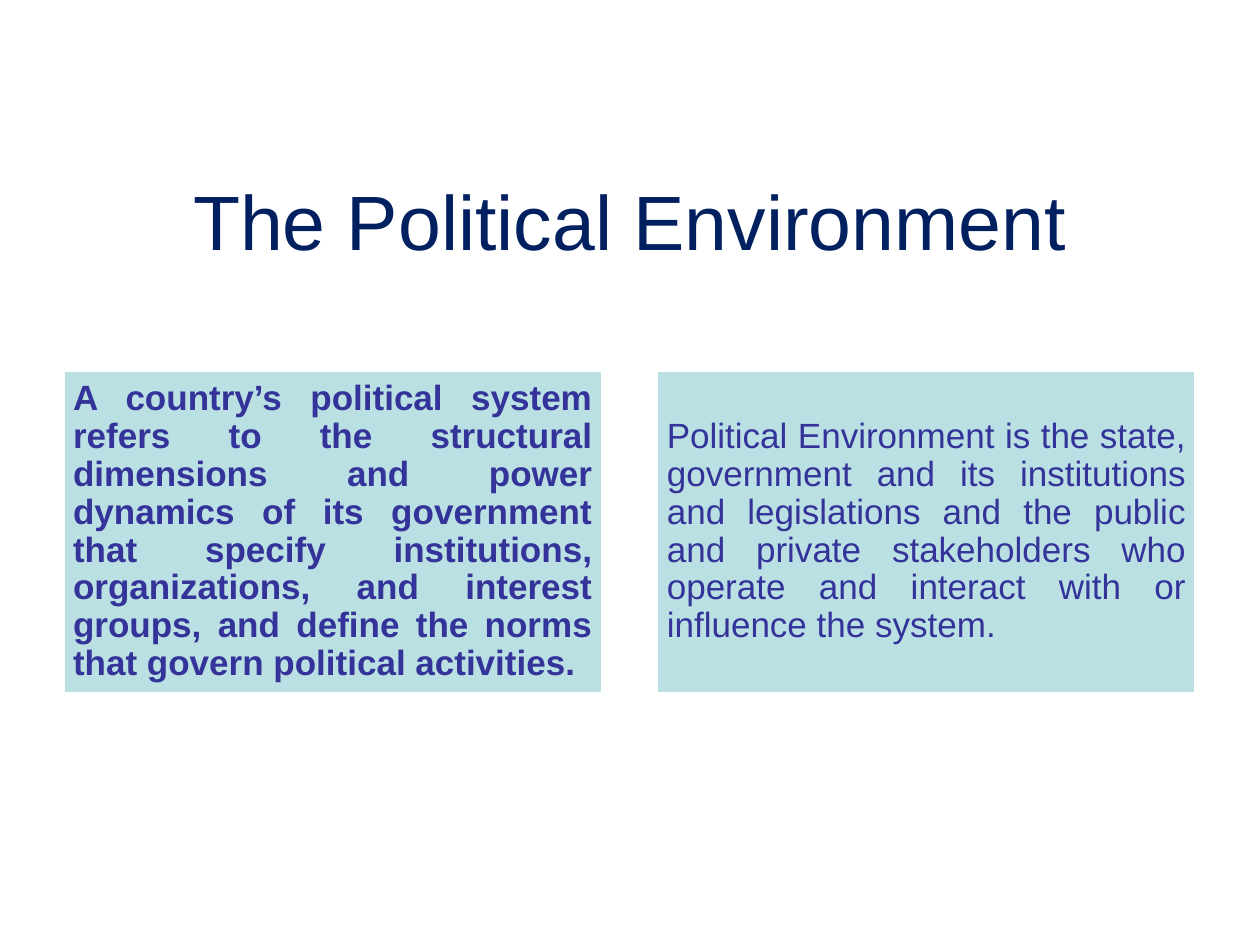
from dataclasses import dataclass

from pptx import Presentation
from pptx.dml.color import RGBColor
from pptx.enum import shapes, text
from pptx.util import Pt

NAVY = RGBColor(0x00, 0x20, 0x60)
INDIGO = RGBColor(0x33, 0x33, 0x99)
TEAL = RGBColor(0xBB, 0xE0, 0xE3)
WHITE = RGBColor(0xFF, 0xFF, 0xFF)
FONT = "Arial"

# Panel row
LEFT, TOP, WIDTH, HEIGHT = 36, 211.5, 308.3, 185
STEP = 339.3
INSET = 5.76


@dataclass
class Panel:
    words: str
    bold: bool


PANELS = [
    Panel("A country’s political system refers to the structural dimensions "
          "and power dynamics of its government that specify institutions, "
          "organizations, and interest groups, and define the norms that "
          "govern political activities.", True),
    Panel("Political Environment is the state, government and its institutions "
          "and legislations and the public and private stakeholders who "
          "operate and interact with or influence the system.", False),
]


def style(para, size: float, color: RGBColor, bold: bool = False) -> None:
    for run in para.runs:
        run.font.name = FONT
        run.font.size = Pt(size)
        run.font.bold = bold
        run.font.color.rgb = color


def draw_title(slide, words: str) -> None:
    title = slide.shapes.title
    title.left, title.top = Pt(36), Pt(80.64)
    title.width, title.height = Pt(648), Pt(90)
    frame = title.text_frame
    frame.text = words
    frame.vertical_anchor = text.MSO_ANCHOR.MIDDLE
    para = frame.paragraphs[0]
    para.alignment = text.PP_ALIGN.CENTER
    style(para, 44, NAVY)


def draw_panel(slide, panel: Panel, left: float) -> None:
    box = slide.shapes.add_shape(shapes.MSO_SHAPE.RECTANGLE, Pt(left),
                                 Pt(TOP), Pt(WIDTH), Pt(HEIGHT))
    box.shadow.inherit = False
    box.fill.solid()
    box.fill.fore_color.rgb = TEAL
    box.line.color.rgb = WHITE
    box.line.width = Pt(2)
    frame = box.text_frame
    frame.text = panel.words
    frame.word_wrap = True
    frame.vertical_anchor = text.MSO_ANCHOR.MIDDLE
    frame.margin_left = frame.margin_right = Pt(INSET)
    frame.margin_top = frame.margin_bottom = Pt(INSET)
    para = frame.paragraphs[0]
    para.alignment = text.PP_ALIGN.JUSTIFY
    para.line_spacing = 0.9
    style(para, 20, INDIGO, panel.bold)


def main() -> None:
    deck = Presentation()
    deck.slide_width, deck.slide_height = Pt(720), Pt(540)
    slide = deck.slides.add_slide(deck.slide_layouts[5])
    draw_title(slide, "The Political Environment")
    for i, panel in enumerate(PANELS):
        draw_panel(slide, panel, LEFT + i * STEP)
    deck.save("out.pptx")


if __name__ == "__main__":
    main()
